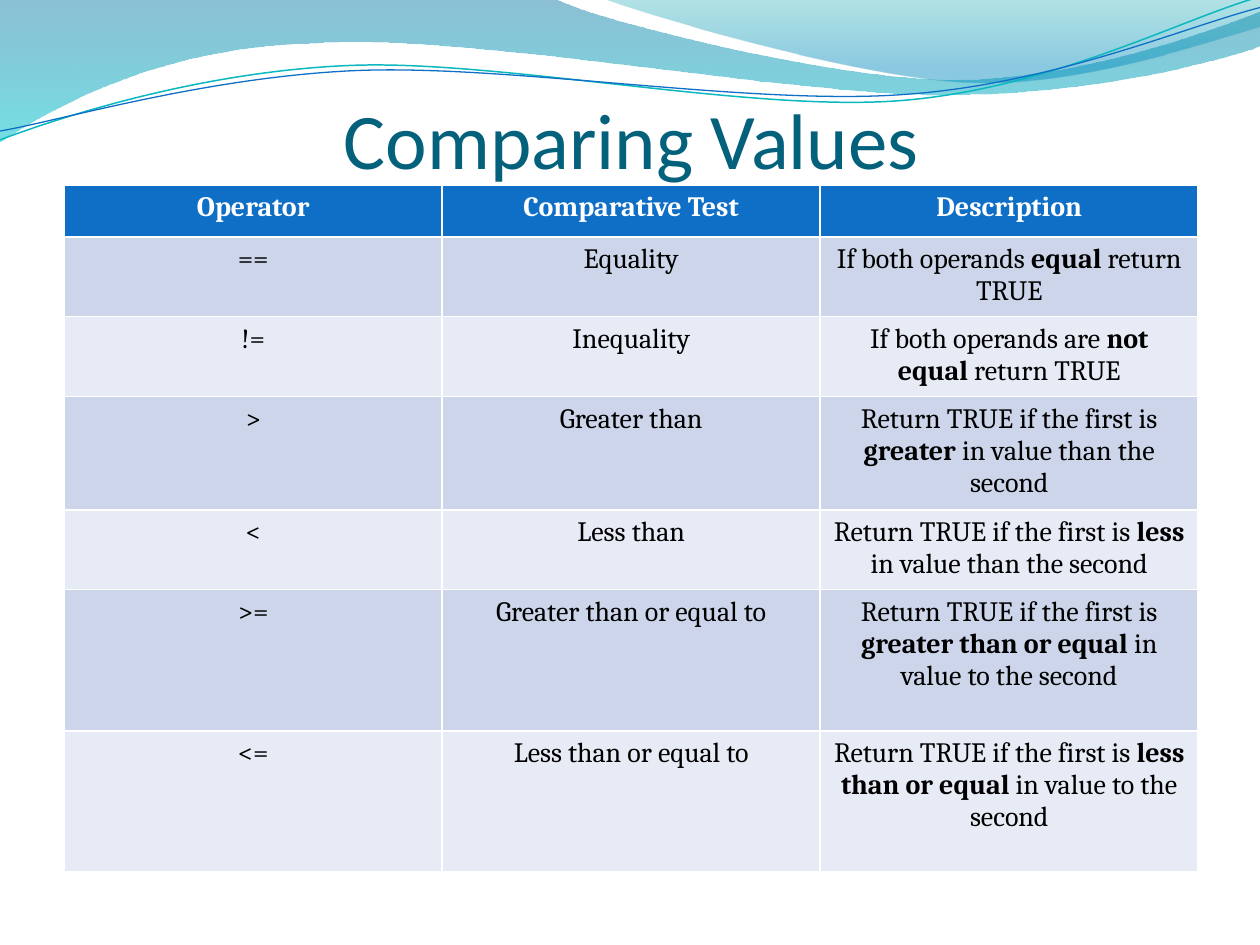
from math import cos, radians, sin
from lxml.etree import SubElement
from pptx import Presentation
from pptx.dml.color import RGBColor
from pptx.enum.text import MSO_ANCHOR, PP_ALIGN
from pptx.oxml.ns import qn
from pptx.util import Inches, Pt

COLORS = {
    "title": "04617B",
    "header": "0F6FC6",
    "dark_band": "CCD5EA",
    "light_band": "E7EBF5",
    "white": "FFFFFF",
    "black": "000000",
    "teal_line": "0AB8BF",
    "wave_top": "0074A1",
    "wave_bottom": "00C6CF",
    "crest_top": "00A1A9",
    "crest_bottom": "008BBF",
}

WAVE = [
    [(0, 0)], [(4.4, -0.01)],
    [(4.76, 0.17), (6.64, 0.63), (7.58, 0.63)],
    [(8.53, 0.63), (9.58, 0.26), (10, 0.09)],
    [(10.01, 0.36)],
    [(9.83, 0.44), (8.7, 0.76), (7.46, 0.75)],
    [(6.22, 0.75), (3.82, 0.28), (2.57, 0.34)],
    [(1.29, 0.36), (0.46, 0.83), (-0.01, 1.13)],
]
CREST = [
    [(4.79, -0.01)],
    [(5.09, 0.11), (6.82, 0.62), (7.69, 0.65)],
    [(8.56, 0.69), (9.61, 0.32), (10, 0.21)],
    [(10, 0)],
]
TEAL_CURVE = [
    [(0, 1.11)],
    [(0.48, 0.93), (1.58, 0.57), (2.77, 0.52)],
    [(3.95, 0.47), (5.93, 0.89), (7.13, 0.8)],
    [(8.33, 0.71), (9.38, 0.15), (9.98, -0.02)],
]
BLUE_CURVE = [
    [(0, 1.04)],
    [(0.47, 0.96), (1.64, 0.61), (2.83, 0.56)],
    [(4.03, 0.51), (5.97, 0.84), (7.17, 0.75)],
    [(8.36, 0.67), (9.41, 0.21), (10, 0.06)],
]
CURVE_TILT = -2.7
CURVE_CENTER = (4.99, 0.58)

HEADERS = ["Operator", "Comparative Test", "Description"]
ROWS = [
    ("==", "Equality", "If both operands |equal| return TRUE"),
    ("!=", "Inequality", "If both operands are |not equal| return TRUE"),
    (">", "Greater than",
     "Return TRUE if the first is |greater| in value than the second"),
    ("<", "Less than",
     "Return TRUE if the first is |less| in value than the second"),
    (">=", "Greater than or equal to",
     "Return TRUE if the first is |greater than or equal| in value to the second"),
    ("<=", "Less than or equal to",
     "Return TRUE if the first is |less than or equal| in value to the second"),
]
ROW_HEIGHTS = [0.41] * 5 + [1.12] * 2


def rgb(name):
    return RGBColor.from_string(COLORS[name])


def add_outline(s, segments, close):
    ends = [(Inches(x), Inches(y)) for x, y in (segment[-1] for segment in segments)]
    builder = s.shapes.build_freeform(*ends[0])
    builder.add_line_segments(ends[1:], close=close)
    sp = builder.convert_to_shape()
    sp.shadow.inherit = False
    lines = list(sp._element.iter(qn("a:lnTo")))
    for line, segment in zip(lines, segments[1:]):
        if len(segment) == 3:
            line.tag = qn("a:cubicBezTo")
            line.remove(line[0])
            for x, y in segment:
                SubElement(line, qn("a:pt"), x=str(Inches(x) - sp.left),
                           y=str(Inches(y) - sp.top))
    return sp


def add_wave(s, segments, stops):
    sp = add_outline(s, segments, True)
    sp.line.fill.background()
    sp.fill.gradient()
    sp.fill.gradient_angle = 270
    for stop, (position, color, _) in zip(sp.fill.gradient_stops, stops):
        stop.position = position
        stop.color.rgb = rgb(color)
    for clr, (_, _, opacity) in zip(sp._element.spPr.iter(qn("a:srgbClr")), stops):
        SubElement(clr, qn("a:alpha"), val=str(opacity * 1000))


def turn_back(point):
    angle = radians(-CURVE_TILT)
    cx, cy = CURVE_CENTER
    dx, dy = point[0] - cx, point[1] - cy
    return (cx + dx * cos(angle) - dy * sin(angle),
            cy + dx * sin(angle) + dy * cos(angle))


def add_curve(s, segments, color, width):
    level = [[turn_back(point) for point in segment] for segment in segments]
    sp = add_outline(s, level, False)
    sp.rotation = CURVE_TILT
    sp.fill.background()
    sp.line.color.rgb = rgb(color)
    sp.line.width = Pt(width)


def set_font(p, name, size, color):
    p.alignment = PP_ALIGN.CENTER
    p.font.name = name
    p.font.size = Pt(size)
    p.font.color.rgb = rgb(color)


def add_title(s, text):
    tf = s.shapes.add_textbox(Inches(0.51), Inches(0.68), Inches(9), Inches(0.79)).text_frame
    tf.word_wrap = True
    tf.vertical_anchor = MSO_ANCHOR.BOTTOM
    tf.margin_left = tf.margin_right = tf.margin_bottom = 0
    p = tf.paragraphs[0]
    p.text = text
    set_font(p, "Calibri", 45, "title")


def fill_cell(cell, text, row):
    header = row == 0
    band = "header" if header else "dark_band" if row % 2 else "light_band"
    cell.fill.solid()
    cell.fill.fore_color.rgb = rgb(band)
    p = cell.text_frame.paragraphs[0]
    set_font(p, "Cambria", 16, "white" if header else "black")
    for i, part in enumerate(text.split("|")):
        r = p.add_run()
        r.text = part
        r.font.bold = header or i == 1
    SubElement(p._p, qn("a:endParaRPr"), sz="1600")


def add_operator_table(s):
    rows = [HEADERS, *ROWS]
    table = s.shapes.add_table(len(rows), len(HEADERS), Inches(0.51), Inches(1.47),
                               Inches(9), Inches(sum(ROW_HEIGHTS))).table
    for i, (texts, height) in enumerate(zip(rows, ROW_HEIGHTS)):
        table.rows[i].height = Inches(height)
        for j, text in enumerate(texts):
            fill_cell(table.cell(i, j), text, i)


def main():
    prs = Presentation()
    prs.slide_width, prs.slide_height = Inches(10), Inches(7.5)
    s = prs.slides.add_slide(prs.slide_layouts[6])
    add_wave(s, WAVE, [(0, "wave_top", 45), (1, "wave_bottom", 55)])
    add_wave(s, CREST, [(0, "crest_top", 30), (0.8, "crest_bottom", 45)])
    add_curve(s, TEAL_CURVE, "teal_line", 0.85)
    add_curve(s, BLUE_CURVE, "header", 0.75)
    add_title(s, "Comparing Values")
    add_operator_table(s)
    prs.save("out.pptx")


if __name__ == "__main__":
    main()
